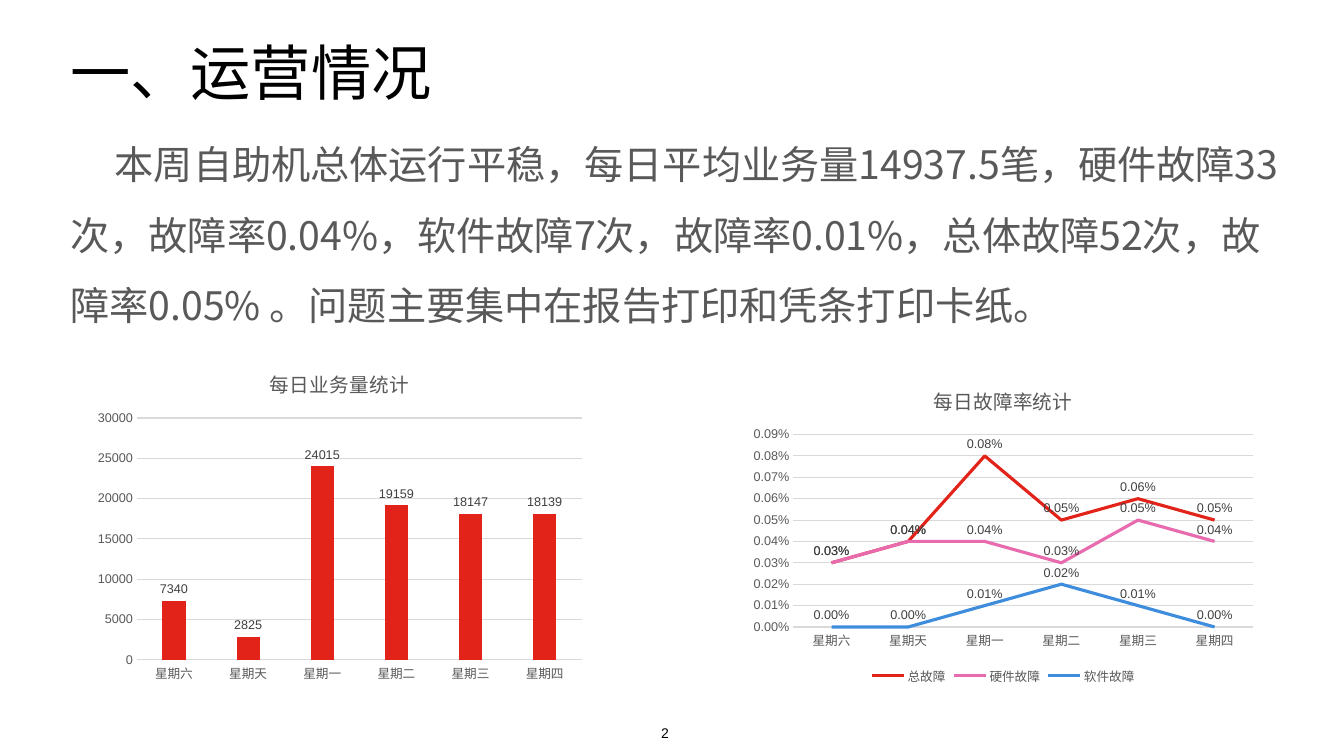
"""Build the weekly operations slide with daily volume and failure-rate charts."""
from pptx import Presentation, util as u
from pptx.chart.data import CategoryChartData
from pptx.dml.color import RGBColor
from pptx.enum import chart as ch, text

COLORS = {"ink": "000000", "body": "595959", "label": "404040", "grid": "D9D9D9",
          "red": "E2231A", "pink": "E96BAF", "blue": "3E8DDD"}
DAYS = ["星期六", "星期天", "星期一", "星期二", "星期三", "星期四"]

deck = Presentation()
deck.slide_width, deck.slide_height = u.Inches(13.33), u.Inches(7.5)
column, row = deck.slide_width / 100, deck.slide_height / 100
slide = deck.slides.add_slide(deck.slide_layouts[6])


def place(left, top, width, height):
    return int(left * column), int(top * row), int(width * column), int(height * row)


def style(font, size, color, name="Arial"):
    font.size, font.name, font.bold = u.Pt(size), name, False
    font.color.rgb = RGBColor.from_string(COLORS[color])


summary = ("本周自助机总体运行平稳，每日平均业务量14937.5笔，硬件故障33次，故障率0.04%，"
           "软件故障7次，故障率0.01%，总体故障52次，故障率0.05% 。"
           "问题主要集中在报告打印和凭条打印卡纸。")
passages = [
    ("一、运营情况", (4.5, 4, 90.85, 10.8), 43, "ink", "Arial", "MIDDLE", "LEFT", 1, 0),
    (summary, (4.5, 14.8, 92.2, 29.6), 28, "body", "Noto Sans CJK SC", "TOP", "LEFT", 1.5, 0.44),
    ("2", (47.64, 94.4, 3.68, 3.6), 10, "ink", "Arial", "BOTTOM", "CENTER", 1, 0),
]
for words, area, size, color, face, anchor, align, spacing, indent in passages:
    frame = slide.shapes.add_textbox(*place(*area)).text_frame
    frame.word_wrap = True
    frame.vertical_anchor = text.MSO_ANCHOR[anchor]
    if align == "CENTER":
        frame.margin_left = frame.margin_right = frame.margin_top = frame.margin_bottom = 0
    paragraph = frame.paragraphs[0]
    paragraph.text = words
    paragraph.alignment = text.PP_ALIGN[align]
    paragraph.line_spacing = spacing
    paragraph._p.get_or_add_pPr().set("indent", str(u.Inches(indent)))
    style(paragraph.font, size, color, face)

volume = [("业务量", "red", [7340, 2825, 24015, 19159, 18147, 18139])]
failures = [
    ("总故障", "red", [0.0003, 0.0004, 0.0008, 0.0005, 0.0006, 0.0005]),
    ("硬件故障", "pink", [0.0003, 0.0004, 0.0004, 0.0003, 0.0005, 0.0004]),
    ("软件故障", "blue", [0, 0, 0.0001, 0.0002, 0.0001, 0]),
]
charts = [
    ("每日业务量统计", "COLUMN_CLUSTERED", (6.53, 46.53, 37.51, 44.53), volume,
     "General", 30000, 5000),
    ("每日故障率统计", "LINE", (55.29, 48.8, 38.71, 42.27), failures,
     "0.00%", 0.0009, 0.0001),
]
for heading, kind, area, measures, number_format, top, step in charts:
    is_line = kind == "LINE"
    data = CategoryChartData(number_format=number_format)
    data.categories = DAYS
    for name, _, values in measures:
        data.add_series(name, values)
    chart = slide.shapes.add_chart(ch.XL_CHART_TYPE[kind], *place(*area), data).chart
    style(chart.font, 10, "ink")

    chart.has_title = True
    title = chart.chart_title.text_frame.paragraphs[0]
    title.text = heading
    style(title.font, 14, "body")
    chart.chart_title.include_in_layout = False

    chart.has_legend = is_line
    if is_line:
        chart.legend.position = ch.XL_LEGEND_POSITION.BOTTOM
        chart.legend.include_in_layout = False
        style(chart.legend.font, 9, "body")

    days, scale = chart.category_axis, chart.value_axis
    for axis in (days, scale):
        axis.major_tick_mark = axis.minor_tick_mark = ch.XL_TICK_MARK.NONE
        style(axis.tick_labels.font, 9, "body")
    scale.minimum_scale, scale.maximum_scale, scale.major_unit = 0, top, step
    scale.tick_labels.number_format = number_format
    scale.tick_labels.number_format_is_linked = False
    scale.format.line.fill.background()
    for line in (days.format.line, scale.major_gridlines.format.line):
        line.color.rgb = RGBColor.from_string(COLORS["grid"])
        line.width = u.Pt(0.75)

    plot = chart.plots[0]
    plot.vary_by_categories = False
    if not is_line:
        plot.gap_width, plot.overlap = 219, -27
    for series, (_, color, _) in zip(plot.series, measures):
        tint = RGBColor.from_string(COLORS[color])
        if is_line:
            series.smooth = False
            series.format.line.color.rgb = tint
            series.format.line.width = u.Pt(2.25)
        else:
            series.format.fill.solid()
            series.format.fill.fore_color.rgb = tint
        labels = series.data_labels
        labels.show_value = True
        labels.number_format, labels.number_format_is_linked = number_format, False
        labels.position = ch.XL_LABEL_POSITION["ABOVE" if is_line else "OUTSIDE_END"]
        style(labels.font, 9, "label")

deck.save("out.pptx")
